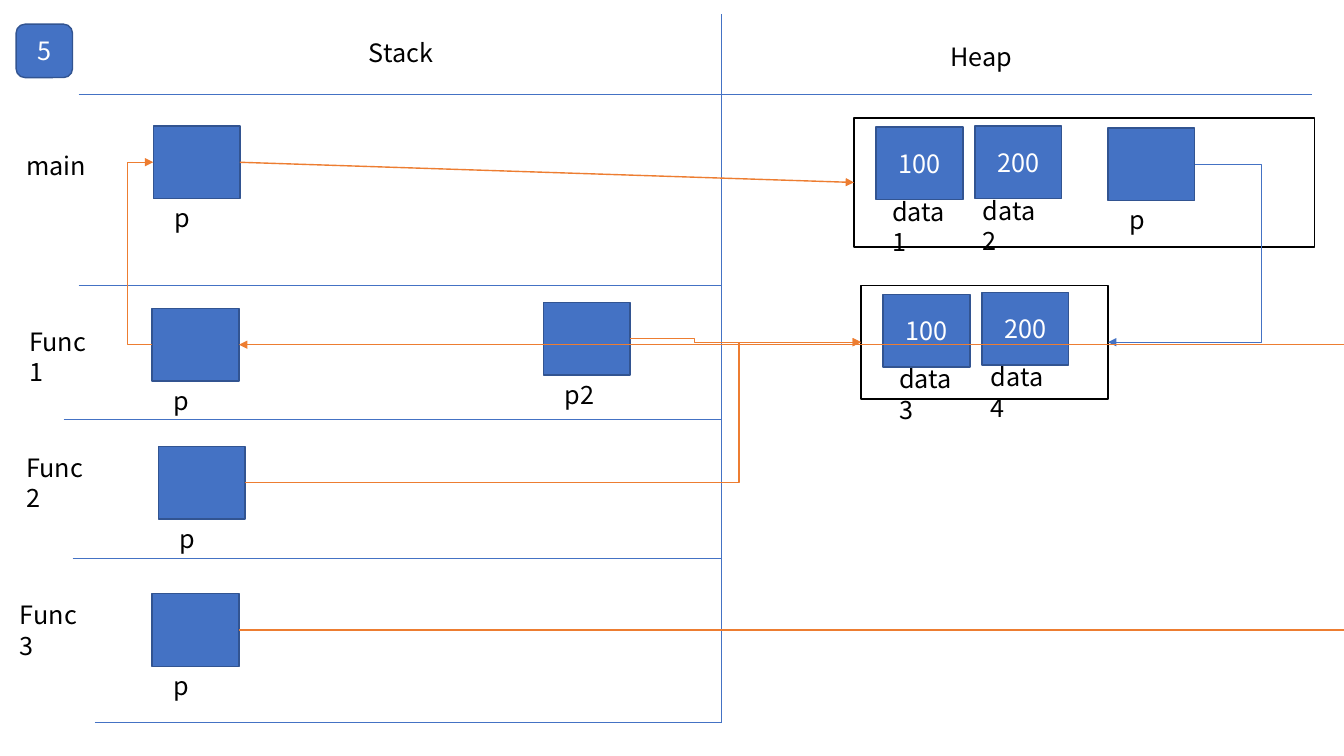
from pptx import Presentation
from pptx.dml.color import RGBColor
from pptx.enum.shapes import MSO_CONNECTOR, MSO_SHAPE
from pptx.enum.text import MSO_ANCHOR, MSO_AUTO_SIZE, PP_ALIGN
from pptx.oxml.ns import qn
from pptx.util import Inches, Pt
from lxml.etree import SubElement

COLORS = {name: RGBColor.from_string(value) for name, value in {
    "blue": "4472C4", "edge": "325491", "orange": "ED7D31",
    "black": "000000", "white": "FFFFFF"}.items()}
FONT = "Noto Sans CJK KR"
CELL_W, CELL_H = 0.86, 0.72
TOP, LEFT, BOTTOM, RIGHT = range(4)

deck = Presentation()
deck.slide_width, deck.slide_height = Inches(13.33), Inches(7.5)
page = deck.slides.add_slide(deck.slide_layouts[6])


def add_block(left, top, width, height, text="", fill=None, edge="edge",
              preset=MSO_SHAPE.RECTANGLE):
    """Add a filled shape, or a plain label when no fill is given."""
    frame = [Inches(value) for value in (left, top, width, height)]
    if fill:
        block = page.shapes.add_shape(preset, *frame)
        block.shadow.inherit = False
        block.fill.solid()
        block.fill.fore_color.rgb = COLORS[fill]
        block.line.color.rgb = COLORS[edge]
        block.line.width = Pt(1)
    else:
        block = page.shapes.add_textbox(*frame)
        block.text_frame.auto_size = MSO_AUTO_SIZE.SHAPE_TO_FIT_TEXT
    block.text_frame.word_wrap = True
    if text:
        para = block.text_frame.paragraphs[0]
        para.text = text
        para.font.name, para.font.size = FONT, Pt(18)
        para.font.color.rgb = COLORS["white" if fill else "black"]
        if fill:
            para.alignment = PP_ALIGN.CENTER
            block.text_frame.vertical_anchor = MSO_ANCHOR.MIDDLE
    return block


def add_line(start, end, color="blue", width=1, arrow=False, bend=None):
    """Join two points or (shape, side) pairs; bend is the x of the elbow."""
    kind = MSO_CONNECTOR.STRAIGHT if bend is None else MSO_CONNECTOR.ELBOW
    line = page.shapes.add_connector(kind, 0, 0, 0, 0)
    if hasattr(start[0], "shape_id"):
        line.begin_connect(*start)
    else:
        line.begin_x, line.begin_y = map(Inches, start)
    if hasattr(end[0], "shape_id"):
        line.end_connect(*end)
    else:
        line.end_x, line.end_y = map(Inches, end)
    line.line.color.rgb = COLORS[color]
    line.line.width = Pt(width)
    properties = line._element.spPr
    if arrow:
        SubElement(properties.find(qn("a:ln")), qn("a:tailEnd"), type="triangle")
    if bend is not None:
        share = (Inches(bend) - line.begin_x) / (line.end_x - line.begin_x)
        guides = properties.find(qn("a:prstGeom")).get_or_add_avLst()
        SubElement(guides, qn("a:gd"), name="adj1", fmla=f"val {round(share * 100000)}")
    SubElement(properties, qn("a:effectLst"))
    return line


# Headings and step number
add_block(3.56, 0.32, 0.86, 0.4, "Stack")
add_block(9.33, 0.36, 0.86, 0.4, "Heap")
add_block(0.16, 0.24, 0.56, 0.53, "5", "blue", preset=MSO_SHAPE.ROUNDED_RECTANGLE)

# Dividers between stack frames, and between stack and heap
add_line((7.15, 0.14), (7.15, 7.17), width=0.5)
for left, right, y in [(0.78, 13.01, 0.94), (0.78, 7.15, 2.83), (0.63, 7.15, 4.16),
                       (0.72, 7.15, 5.54), (0.94, 7.15, 7.17)]:
    add_line((left, y), (right, y), width=0.5)

# Function names
for name, left, top, width in [("main", 0.16, 1.44, 0.86), ("Func1", 0.19, 3.19, 0.87),
                               ("Func2", 0.16, 4.44, 0.9), ("Func3", 0.1, 5.9, 0.9)]:
    add_block(left, top, width, 0.4, name)

# Heap nodes
heap_main = add_block(8.47, 1.17, 4.57, 1.28, fill="white", edge="black")
heap_func = add_block(8.54, 2.83, 2.45, 1.13, fill="white", edge="black")
for value, name, left, top, shift in [("100", "data1", 8.69, 1.26, 0.06),
                                      ("200", "data2", 9.67, 1.25, -0.02),
                                      ("100", "data3", 8.76, 2.92, 0.06),
                                      ("200", "data4", 9.74, 2.9, -0.01)]:
    add_block(left + shift, top + 0.64, 0.85, 0.4, name)
    add_block(left, top, CELL_W, CELL_H, value, "blue")

# Pointer cells with their names below
pointers = {}
for key, name, left, top, label_width in [("main", "p", 1.52, 1.25, 0.43),
                                          ("func1", "p", 1.51, 3.06, 0.43),
                                          ("func2", "p", 1.57, 4.43, 0.43),
                                          ("func3", "p", 1.51, 5.89, 0.43),
                                          ("second", "p2", 5.39, 3, 0.66),
                                          ("heap", "p", 10.99, 1.27, 0.66)]:
    pointers[key] = add_block(left, top, CELL_W, CELL_H, fill="blue")
    add_block(left + 0.11, top + 0.71, label_width, 0.4, name)

# Arrows from pointers to what they point at
add_line((pointers["main"], RIGHT), (heap_main, LEFT), "orange", arrow=True)
for source, source_side, target, target_side, color, bend in [
        (pointers["func1"], LEFT, pointers["main"], LEFT, "orange", 1.26),
        (pointers["func2"], RIGHT, heap_func, LEFT, "orange", 7.33),
        (pointers["second"], RIGHT, heap_func, LEFT, "orange", 6.89),
        (pointers["heap"], RIGHT, heap_func, RIGHT, "blue", 12.51)]:
    add_line((source, source_side), (target, target_side), color, arrow=True, bend=bend)

# Func3 reference runs to the page edge and comes back to Func1
add_line((pointers["func3"], RIGHT), (13.33, 6.25), "orange")
add_line((13.33, 3.42), (pointers["func1"], RIGHT), "orange", arrow=True)

deck.save("out.pptx")
